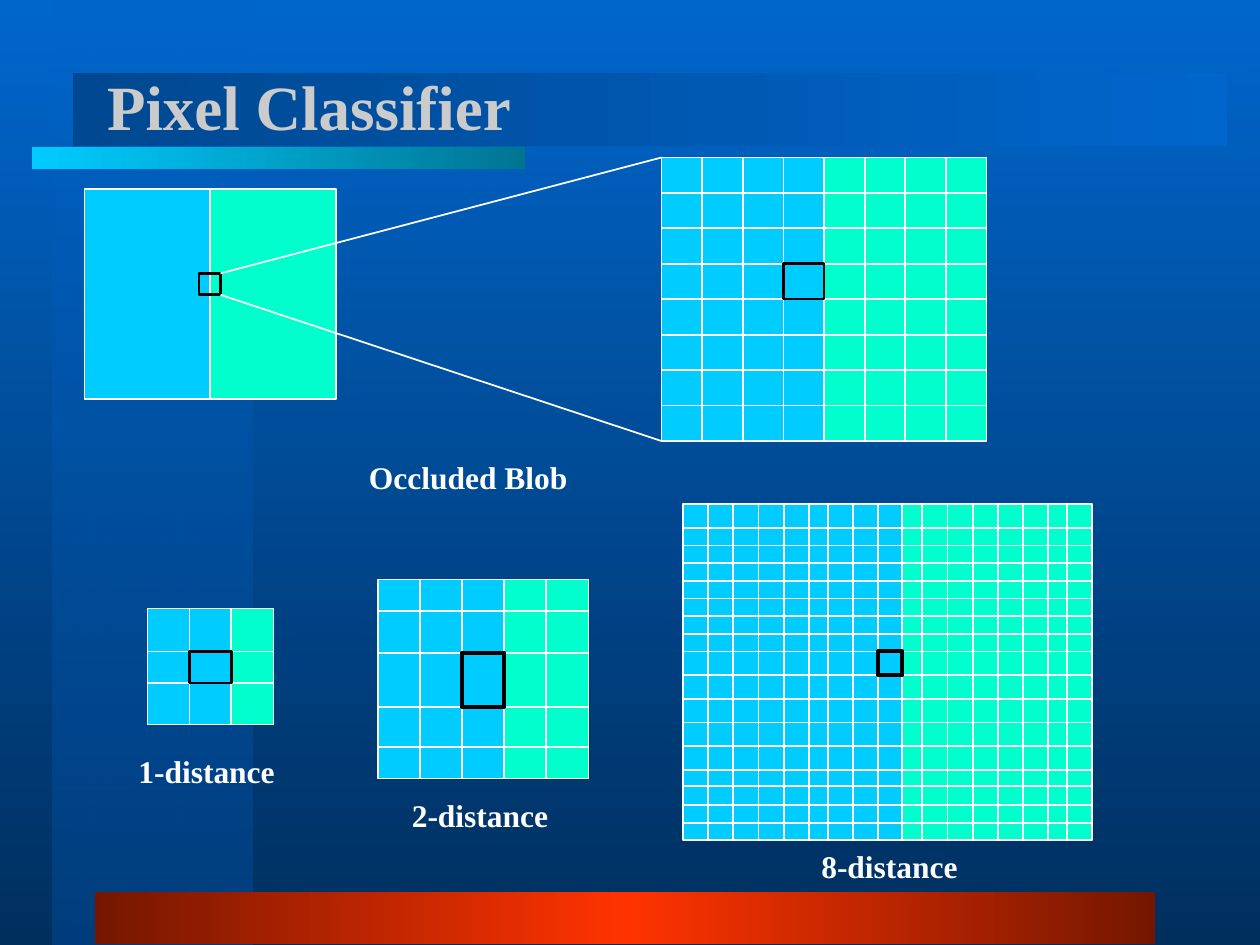
from copy import deepcopy
from dataclasses import dataclass

from lxml.etree import SubElement
from pptx import Presentation
from pptx.dml.color import RGBColor
from pptx.enum.shapes import MSO_CONNECTOR as Link, MSO_SHAPE as Shape
from pptx.enum.text import MSO_ANCHOR as Anchor, PP_ALIGN as Align
from pptx.oxml.ns import qn
from pptx.util import Inches, Pt


@dataclass(frozen=True)
class Theme:
    font: str = "Times New Roman"
    head: str = "CBCBCB"
    white: str = "FFFFFF"
    black: str = "000000"
    blue: str = "00CCFF"
    green: str = "00FFCC"
    sky: str = "0066CC"
    navy: str = "002F5E"
    head_size: int = 36
    text_size: int = 18
    gap_size: int = 24
    thin: float = 1
    mark: float = 1.5
    bold: float = 2.25


T = Theme()


def even(start, end, count):
    return [start + (end - start) * i / count for i in range(count + 1)]


# Content: lengths in inches
TITLE = ("Pixel Classifier", (0.75, 0.21, 8.5, 1.25))

# Box, colour stops, clockwise angle, opacity of the first stop
BARS = [
    ((0.42, 0, 1.58, 7.5), [T.sky, "003E7D"], 90, 50),
    ((0.75, 7.08, 8.42, 0.41), ["751700", "FF3300", "751700"], 180, 100),
    ((0.58, 0.58, 9.16, 0.58), [T.sky, "004891"], 180, 100),
    ((0.25, 1.17, 3.92, 0.17), ["007592", T.blue], 180, 100),
]

# Column edges, row edges, index of the edge where green starts, mark width
ZOOM = (even(5.25, 7.83, 8), even(1.25, 3.5, 8), 4, T.mark)
NEAR = (even(1.17, 2.17, 3), [4.83, 5.17, 5.42, 5.75], 2, T.mark)
MID = (even(3, 4.67, 5), [4.6, 4.85, 5.18, 5.61, 5.93, 6.18], 3, T.bold)
FAR = (
    [5.42, 5.62, 5.82, 6.02, 6.22, 6.42, 6.57, 6.77, 6.97, 7.16,
     7.32, 7.52, 7.72, 7.92, 8.12, 8.32, 8.47, 8.67],
    even(4, 4.19, 1) + even(4.33, 5.17, 6) + even(5.36, 6.11, 4)
    + [6.24, 6.39, 6.53, 6.67],
    9, T.bold,
)

BLOB = (0.67, 1.5, 2, 1.67)
PIXEL = (1.58, 2.17, 0.17, 0.17)

# Text, box, space before, whether a larger space ends the line
LABELS = [
    ("Occluded Blob", (2.83, 3.5, 1.92, 0.5), 15, True),
    ("1-distance", (1, 5.92, 1.33, 0.4), 11.2, False),
    ("2-distance", (3.17, 6.27, 1.33, 0.4), 11.2, False),
    ("8-distance", (6.42, 6.67, 1.33, 0.4), 11.2, False),
]


# Helpers
def rgb(color):
    return RGBColor.from_string(color)


def place(box):
    return [Inches(v) for v in box]


def blend(fill, colors, angle, alpha=100):
    fill.gradient()
    fill.gradient_angle = 360 - angle
    first = fill.gradient_stops[0]._gs
    for _ in colors[2:]:
        first.addnext(deepcopy(first))
    for i, (stop, color) in enumerate(zip(fill.gradient_stops, colors)):
        stop.position = i / (len(colors) - 1)
        stop.color.rgb = rgb(color)
    if alpha < 100:
        SubElement(first[0], qn("a:alpha"), val=str(alpha * 1000))


def stroke(line, color, width):
    line.color.rgb = rgb(color)
    line.width = Pt(width)


def rect(group, box, color, edge=T.white, width=T.thin):
    shape = group.shapes.add_shape(Shape.RECTANGLE, *place(box))
    shape.shadow.inherit = False
    if color:
        shape.fill.solid()
        shape.fill.fore_color.rgb = rgb(color)
    else:
        shape.fill.background()
    stroke(shape.line, edge, width)


def rule(group, *ends):
    link = group.shapes.add_connector(Link.STRAIGHT, *place(ends))
    stroke(link.line, T.white, T.thin)
    SubElement(link._element.spPr, qn("a:effectLst"))


def style(run, size, color, bold=True):
    font = run.font
    font.name, font.size, font.bold = T.font, Pt(size), bold
    font.color.rgb = rgb(color)


def halves(group, left, top, split, right, base):
    rect(group, (left, top, split - left, base - top), T.blue)
    rect(group, (split, top, right - split, base - top), T.green)


def grid(group, cols, rows, split, width):
    left, right, top, base = cols[0], cols[-1], rows[0], rows[-1]
    halves(group, left, top, cols[split], right, base)
    for x in cols[1:-1]:
        rule(group, x, top, x, base)
    for y in rows[1:-1]:
        rule(group, left, y, right, y)
    # The marked cell touches the split in the middle row
    x, y = cols[split - 1], rows[(len(rows) - 2) // 2]
    high = rows[(len(rows) - 2) // 2 + 1] - y
    rect(group, (x, y, cols[split] - x, high), T.blue, T.black, width)


def main():
    deck = Presentation()
    deck.slide_width, deck.slide_height = Inches(10), Inches(7.5)
    slide = deck.slides.add_slide(deck.slide_layouts[5])
    shapes = slide.shapes

    # Background and bars
    blend(slide.background.fill, [T.sky, T.navy], 90)
    for box, colors, angle, alpha in BARS:
        bar = shapes.add_shape(Shape.RECTANGLE, *place(box))
        bar.shadow.inherit = False
        bar.line.fill.background()
        blend(bar.fill, colors, angle, alpha)

    # Title, in front of the bars
    text, box = TITLE
    title = shapes.title
    title.left, title.top, title.width, title.height = place(box)
    shapes._spTree.append(title._element)
    title.text_frame.text = text
    title.text_frame.vertical_anchor = Anchor.MIDDLE
    para = title.text_frame.paragraphs[0]
    para.alignment = Align.LEFT
    style(para.runs[0], T.head_size, T.head)

    # Blob with its enlarged pixel
    group = shapes.add_group_shape()
    left, top, wide, high = BLOB
    halves(group, left, top, left + wide / 2, left + wide, top + high)
    rect(group, PIXEL, None, T.black, T.mark)
    x, y, wide, high = PIXEL
    cols, rows = ZOOM[:2]
    rule(group, x + wide, y + high, cols[0], rows[-1])
    rule(group, x + wide, y, cols[0], rows[0])
    grid(group, *ZOOM)

    # Distance grids
    for spec_row in (NEAR, FAR, MID):
        grid(shapes.add_group_shape(), *spec_row)

    # Labels
    for text, box, before, spaced in LABELS:
        frame = shapes.add_textbox(*place(box)).text_frame
        frame.word_wrap = True
        para = frame.paragraphs[0]
        para.text = text
        para.space_before = Pt(before)
        style(para.runs[0], T.text_size, T.white)
        if spaced:
            tail = para.add_run()
            tail.text = " "
            style(tail, T.gap_size, T.white, False)

    deck.save("out.pptx")


if __name__ == "__main__":
    main()
